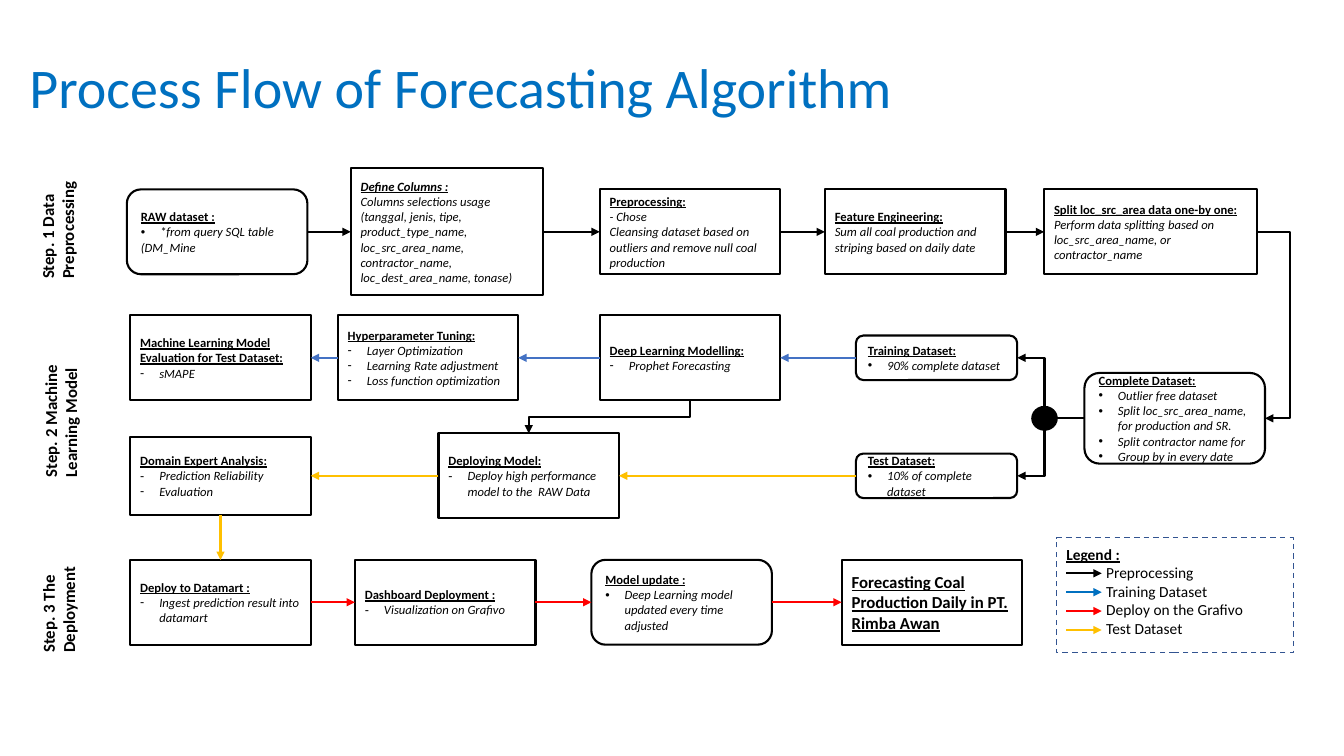
from dataclasses import dataclass

from lxml.etree import SubElement
from pptx import Presentation
from pptx.dml.color import RGBColor
from pptx.enum.dml import MSO_LINE
from pptx.enum.shapes import MSO_CONNECTOR, MSO_SHAPE
from pptx.enum.text import MSO_ANCHOR, MSO_AUTO_SIZE, PP_ALIGN
from pptx.oxml.ns import qn
from pptx.util import Emu, Inches, Pt

CELL = Inches(1) / 12
COLS, ROWS = 160, 90
BOX_W, BOX_H = 21.5, 10.1
PREP_ROW, TRAIN_ROW, SPLIT_ROW, TEST_ROW, DEPLOY_ROW = 27.6, 42.6, 49.8, 56.65, 71.7
TOP, LEFT, BOTTOM, RIGHT = range(4)
RECT, ROUND = MSO_SHAPE.RECTANGLE, MSO_SHAPE.ROUNDED_RECTANGLE


@dataclass(frozen=True)
class Theme:
    """Colours, font and type sizes of the slide."""
    font: str = "Calibri"
    black: str = "000000"
    title: str = "0070C0"
    train: str = "4472C4"
    test: str = "FFC000"
    deploy: str = "FF0000"
    frame: str = "325491"
    title_size: float = 40
    label_size: float = 12
    legend_size: float = 11
    body_size: float = 9
    line: float = 1.5
    thin: float = 1


T = Theme()


def cells(*values):
    """Convert grid cells to lengths."""
    return [Emu(round(v * CELL)) for v in values]


def write(p, text, size=T.body_size, color=T.black, bold=False, italic=False,
          underline=False, mark=None, tab=None):
    """Fill a paragraph with formatted text."""
    p.alignment = PP_ALIGN.LEFT
    pPr = p._p.get_or_add_pPr()
    if mark:
        pPr.set("marL", str(Inches(0.19)))
        pPr.set("indent", str(-Inches(0.19)))
        SubElement(pPr, qn("a:buFont"), typeface="Arial")
        SubElement(pPr, qn("a:buChar"), char=mark)
    if tab:
        tabs = SubElement(pPr, qn("a:tabLst"))
        SubElement(tabs, qn("a:tab"), pos=str(cells(tab)[0]), algn="l")
    p.text = text
    for br in p._p.findall(qn("a:br")):
        SubElement(br, qn("a:rPr"), sz=str(size * 100))
    for r in p.runs:
        f = r.font
        f.name, f.size, f.color.rgb = T.font, Pt(size), RGBColor.from_string(color)
        f.bold, f.italic, f.underline = bold, italic, underline


def add_shape(slide, kind, x, y, w, h, color=T.black, width=T.line, fill=None):
    """Add an outlined preset shape."""
    sp = slide.shapes.add_shape(kind, *cells(x, y, w, h))
    sp.shadow.inherit = False
    sp.line.color.rgb = RGBColor.from_string(color)
    sp.line.width = Pt(width)
    if fill:
        sp.fill.solid()
        sp.fill.fore_color.rgb = RGBColor.from_string(fill)
    else:
        sp.fill.background()
    return sp


def add_box(slide, x, row, title, *lines, kind=RECT, w=BOX_W, h=BOX_H, mark=None,
            plain=(), size=T.body_size, slanted=False):
    """Add a process box centred on a row, with marked and plain lines."""
    sp = add_shape(slide, kind, x, row - h / 2, w, h)
    tf = sp.text_frame
    tf.word_wrap = True
    tf.vertical_anchor = MSO_ANCHOR.MIDDLE
    write(tf.paragraphs[0], title, size=size, bold=True, underline=True, italic=slanted)
    for text in lines:
        write(tf.add_paragraph(), text, italic=True, mark=mark)
    for text in plain:
        write(tf.add_paragraph(), text, italic=True)
    return sp


def add_text(slide, x, y, w, h):
    """Add a wrapping text box and return its frame."""
    tf = slide.shapes.add_textbox(*cells(x, y, w, h)).text_frame
    tf.word_wrap = True
    return tf


def add_line(slide, start, end, color=T.black, kind=MSO_CONNECTOR.STRAIGHT, head=True):
    """Add a connector between two grid points."""
    c = slide.shapes.add_connector(kind, *cells(*start, *end))
    c.line.color.rgb = RGBColor.from_string(color)
    c.line.width = Pt(T.line)
    if head:
        SubElement(c.line._get_or_add_ln(), qn("a:tailEnd"), type="triangle")
    SubElement(c._element.spPr, qn("a:effectLst"))
    return c


def link(slide, a, side_a, b, side_b, color=T.black):
    """Join the sides of two boxes with an arrow."""
    c = add_line(slide, (0, 0), (1, 1), color)
    c.begin_connect(a, side_a)
    c.end_connect(b, side_b)


def bend(slide, start, end, preset="bentConnector3", adj=None, vertical=False):
    """Add an elbow arrow; a vertical one leaves upward or downward and ends leftward."""
    (x1, y1), (x2, y2) = start, end
    if vertical:
        mx, my, w, h = (x1 + x2) / 2, (y1 + y2) / 2, abs(y2 - y1), abs(x2 - x1)
        flip = -1 if y2 < y1 else 1
        start, end = (mx - w / 2, my - flip * h / 2), (mx + w / 2, my + flip * h / 2)
    c = add_line(slide, start, end, kind=MSO_CONNECTOR.ELBOW)
    spPr = c._element.spPr
    if vertical:
        spPr.find(qn("a:xfrm")).set("rot", str((90 if y2 > y1 else 270) * 60000))
    geom = spPr.find(qn("a:prstGeom"))
    geom.set("prst", preset)
    if adj:
        guides = geom.find(qn("a:avLst"))
        SubElement(guides, qn("a:gd"), name="adj1", fmla=f"val {round(adj * 100000)}")


def add_legend(slide):
    """Add the framed legend with its sample arrows."""
    x, y, step = 125.76, 68.25, 2.25
    entries = [("Preprocessing", T.black), ("Training Dataset", T.title),
               ("Deploy on the Grafivo", T.deploy), ("Test Dataset", T.test)]
    tf = add_text(slide, x, 64.3, 33.2, 12.4)
    write(tf.paragraphs[0], "Legend :", size=T.legend_size, bold=True, underline=True)
    for i, (name, color) in enumerate(entries):
        write(tf.add_paragraph(), "\t" + name, size=T.legend_size, tab=4.75)
        add_line(slide, (x + 1.2, y + i * step), (x + 5.4, y + i * step), color)
    frame = add_shape(slide, RECT, x, 64, 28.2, 13.7, T.frame, T.thin)
    frame.line.dash_style = MSO_LINE.DASH


def add_title(slide, text):
    """Place and format the title."""
    sp = slide.shapes.title
    sp.left, sp.top, sp.width, sp.height = cells(2.3, 5.5, 155.9, 9.5)
    tf = sp.text_frame
    tf.auto_size = MSO_AUTO_SIZE.NONE
    tf.vertical_anchor = MSO_ANCHOR.MIDDLE
    write(tf.paragraphs[0], text, size=T.title_size, color=T.title)


def add_flow(slide):
    """Add the process boxes and the arrows between them."""
    raw = add_box(slide, 15.1, PREP_ROW, "RAW dataset :", "*from query SQL table",
                  kind=ROUND, mark="•", plain=["(DM_Mine"])
    define = add_box(slide, 41.75, PREP_ROW, "Define Columns :",
                     "Columns selections usage\v(tanggal, jenis, tipe, product_type_name, "
                     "loc_src_area_name, contractor_name, loc_dest_area_name, tonase)",
                     w=22.9, h=15.1, slanted=True)
    prep = add_box(slide, 71.4, PREP_ROW, "Preprocessing:", "- Chose",
                   "Cleansing dataset based on outliers and remove null coal production")
    feature = add_box(slide, 98.2, PREP_ROW, "Feature Engineering:",
                      "Sum all coal production and striping based on daily date")
    split = add_box(slide, 124.3, PREP_ROW, "Split loc_src_area data one-by one:",
                    "Perform data splitting based on loc_src_area_name, or contractor_name",
                    w=25.3)
    complete = add_box(slide, 129.1, SPLIT_ROW, "Complete Dataset:", "Outlier free dataset",
                       "Split loc_src_area_name, for production and SR.",
                       "Split contractor name for", "Group by in every date",
                       kind=ROUND, h=10.8, mark="•")
    small = dict(kind=ROUND, w=19.2, h=5.3, mark="•")
    train = add_box(slide, 101.9, TRAIN_ROW, "Training Dataset:", "90% complete dataset", **small)
    test = add_box(slide, 101.9, TEST_ROW, "Test Dataset:", "10% of complete dataset", **small)
    deep = add_box(slide, 71.4, TRAIN_ROW, "Deep Learning Modelling:",
                   "Prophet Forecasting", mark="-")
    tuning = add_box(slide, 40.2, TRAIN_ROW, "Hyperparameter Tuning:", "Layer Optimization",
                     "Learning Rate adjustment", "Loss function optimization", mark="-")
    evaluation = add_box(slide, 15.5, TRAIN_ROW,
                         "Machine Learning Model Evaluation for Test Dataset:", "sMAPE", mark="-")
    model = add_box(slide, 52.2, TEST_ROW, "Deploying Model:",
                    "Deploy high performance model to the  RAW Data", mark="-")
    expert = add_box(slide, 15.5, TEST_ROW, "Domain Expert Analysis:",
                     "Prediction Reliability", "Evaluation", h=9.3, mark="-")
    datamart = add_box(slide, 15.5, DEPLOY_ROW, "Deploy to Datamart :",
                       "Ingest prediction result into datamart", mark="-")
    dashboard = add_box(slide, 42.25, DEPLOY_ROW, "Dashboard Deployment :",
                        "Visualization on Grafivo", mark="-")
    update = add_box(slide, 70.4, DEPLOY_ROW, "Model update :",
                     "Deep Learning model updated every time adjusted", kind=ROUND, mark="•")
    result = add_box(slide, 100.2, DEPLOY_ROW,
                     "Forecasting Coal Production Daily in PT. Rimba Awan", size=T.label_size)

    chains = [([raw, define, prep, feature, split], RIGHT, LEFT, T.black),
              ([train, deep, tuning, evaluation], LEFT, RIGHT, T.train),
              ([test, model, expert], LEFT, RIGHT, T.test),
              ([expert, datamart], BOTTOM, TOP, T.test),
              ([datamart, dashboard, update, result], RIGHT, LEFT, T.deploy)]
    for boxes, side_a, side_b, color in chains:
        for a, b in zip(boxes, boxes[1:]):
            link(slide, a, side_a, b, side_b, color)

    hub_x, hub_r = 124.35, 1.4
    add_shape(slide, MSO_SHAPE.OVAL, hub_x - 1.5, SPLIT_ROW - hub_r, 3, 2 * hub_r,
              width=T.thin, fill=T.black)
    stem = add_line(slide, (129.1, SPLIT_ROW), (hub_x + 1.5, SPLIT_ROW), head=False)
    stem.begin_connect(complete, LEFT)
    bend(slide, (149.6, PREP_ROW), (150.6, SPLIT_ROW), adj=4)
    for row, edge in ((TRAIN_ROW, -hub_r), (TEST_ROW, hub_r)):
        bend(slide, (hub_x, SPLIT_ROW + edge), (121.1, row), "bentConnector2", vertical=True)
    bend(slide, (71.4 + BOX_W / 2, TRAIN_ROW + BOX_H / 2),
         (52.2 + BOX_W / 2, TEST_ROW - BOX_H / 2), adj=0.5, vertical=True)


def main():
    """Build and save the slide."""
    prs = Presentation()
    prs.slide_width, prs.slide_height = cells(COLS, ROWS)
    slide = prs.slides.add_slide(prs.slide_layouts[5])
    add_title(slide, "Process Flow of Forecasting Algorithm")
    steps = [("Step. 1 Data Preprocessing", 3.85, 14.5, 19.9),
             ("Step. 2 Machine Learning Model", 4.2, 37.1, 20.9),
             ("Step. 3 The Deployment", 3.95, 58, 20.9)]
    for text, x, y, h in steps:
        tf = add_text(slide, x, y, 7.3, h)
        tf._txBody.bodyPr.set("vert", "vert270")
        write(tf.paragraphs[0], text, size=T.label_size, bold=True)
    add_flow(slide)
    add_legend(slide)
    prs.save("out.pptx")


if __name__ == "__main__":
    main()
